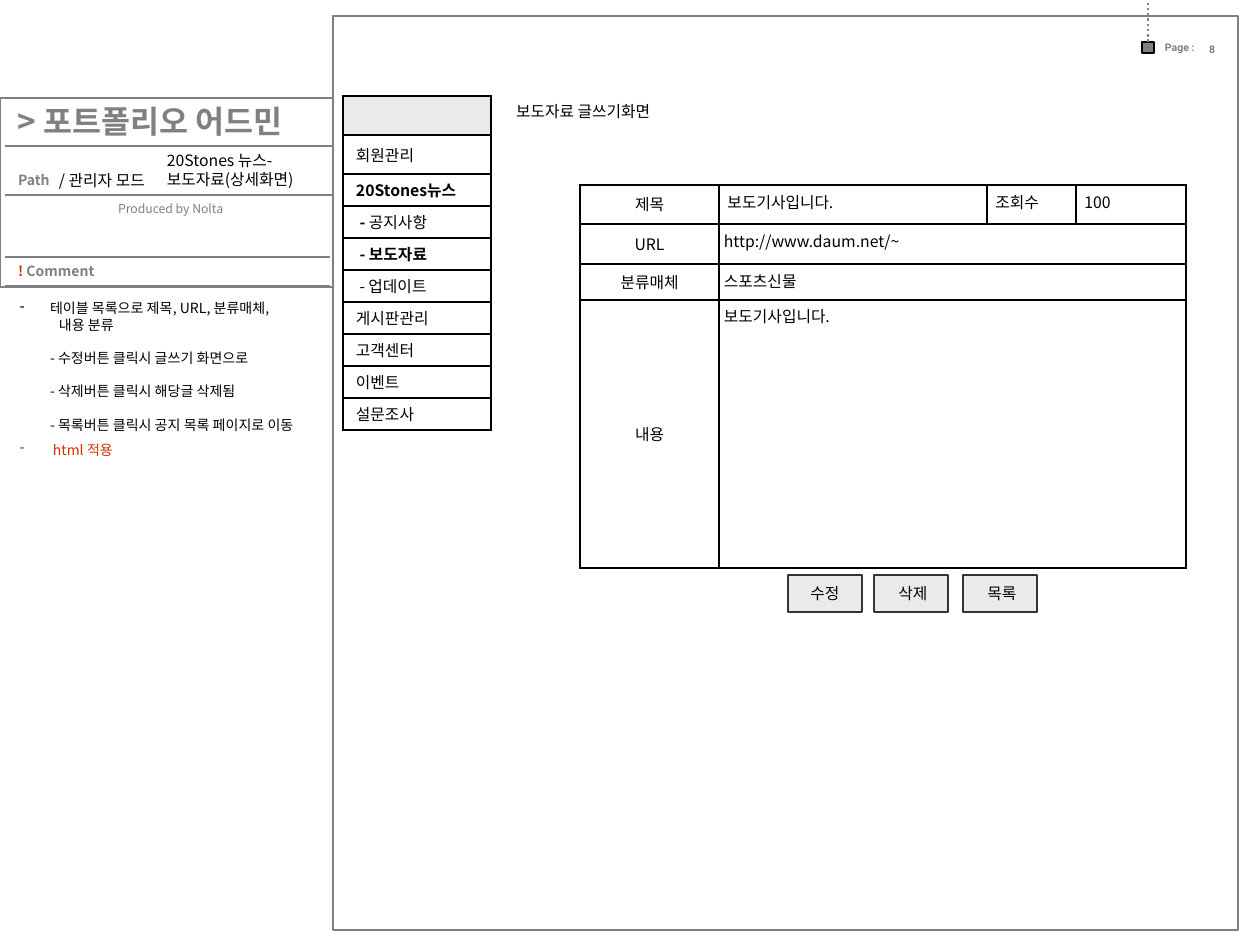
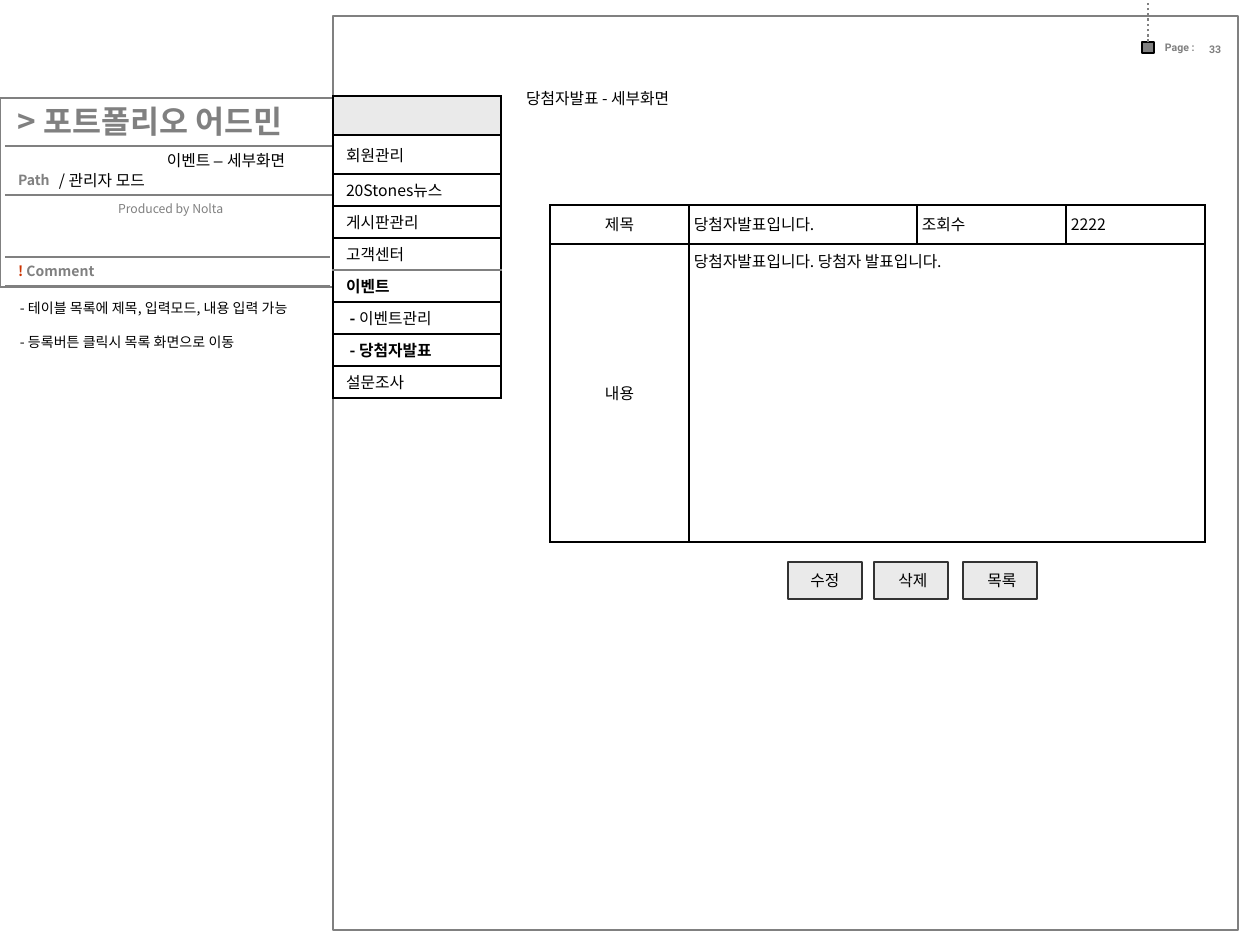
from lxml import etree
from pptx import Presentation
from pptx.dml.color import RGBColor
from pptx.enum.dml import MSO_LINE
from pptx.enum.shapes import MSO_CONNECTOR, MSO_SHAPE
from pptx.enum.text import MSO_ANCHOR, PP_ALIGN
from pptx.oxml.ns import qn
from pptx.util import Emu, Inches, Pt

PX_PER_INCH = 126
LINE_HEIGHT = 1.19
RECT = MSO_SHAPE.RECTANGLE
STRAIGHT = MSO_CONNECTOR.STRAIGHT
DOTTED = MSO_LINE.ROUND_DOT
TOP, MIDDLE = MSO_ANCHOR.TOP, MSO_ANCHOR.MIDDLE
LEFT, CENTER, RIGHT = PP_ALIGN.LEFT, PP_ALIGN.CENTER, PP_ALIGN.RIGHT
KOREAN, LATIN, PAGE_FONT = "Noto Sans CJK KR", "Arial", "Roboto"
COLORS = {"black": "000000", "gray": "808080", "red": "CC3300",
          "panel": "EAEAEA", "button_edge": "333333"}

WIDE, NARROW = (13, 6, 13, 6), (5, 6, 5, 6)
MENU_INSETS, FORM_INSETS = (13, 8, 13, 4), (5, 9, 5, 6)

FRAME = (333, 16, 905, 914)
INFO_BOX = (0, 98, 333, 189)
INFO_RULES = [(146, 333), (195, 333), (257, 330), (286, 330)]
MARKER = (1142, 42, 12, 11)
MENU_TOP, MENU_HEAD, MENU_STEP = 96, 39, 32
BUTTON_SIZE = (74, 37)
BUTTONS = [(788, "수정"), (874, " 삭제"), (963, " 목록")]

SCREENS = [
    {
        "page": "8",
        "path": [[("20Stones 뉴스-", KOREAN)], [("보도자료(상세화면)", KOREAN)]],
        "heading": ("보도자료 글쓰기화면", 511, 96),
        "menu": {
            "left": 343, "width": 148, "gray_after": None,
            "items": [
                [("회원관리", False)],
                [("20Stones뉴스", True)],
                [(" - ", True), ("공지사항", False)],
                [(" - 보도자료", True)],
                [(" - 업데이트", False)],
                [("게시판관리", False)],
                [("고객센터", False)],
                [("이벤트", False)],
                [("설문조사", False)],
            ],
        },
        "form": {
            "left": 580, "top": 185,
            "columns": [139, 268, 89, 110], "heights": [39, 40, 36, 268],
            "first_row_anchor": TOP,
            "rows": [
                ["제목", " 보도기사입니다.", " 조회수", " 100"],
                ["URL", "http://www.daum.net/~"],
                ["분류매체", "스포츠신물"],
                ["내용", "보도기사입니다."],
            ],
        },
        "buttons_top": 575,
        "comment_width": 285,
        "comments": [
            {"text": "테이블 목록으로 제목, URL, 분류매체,", "indent": 30, "bullet": True},
            {"text": "내용 분류", "indent": 39},
            {"text": "- 수정버튼 클릭시 글쓰기 화면으로", "indent": 30, "gap": 9.5},
            {"text": "- 삭제버튼 클릭시 해당글 삭제됨", "indent": 30, "gap": 9.5},
            {"text": "- 목록버튼 클릭시 공지 목록 페이지로 이동", "indent": 30, "gap": 9.5},
            {"text": "html 적용", "indent": 33, "bullet": True, "gap": 4.8, "color": "red"},
        ],
    },
    {
        "page": "33",
        "path": [[("이벤트 ", KOREAN), ("– ", LATIN), ("세부화면", KOREAN)]],
        "heading": ("당첨자발표 - 세부화면", 521, 83),
        "menu": {
            "left": 333, "width": 168, "gray_after": 4,
            "items": [
                [("회원관리", False)],
                [("20Stones뉴스", False)],
                [("게시판관리", False)],
                [("고객센터", False)],
                [("이벤트", True)],
                [(" - ", True), ("이벤트관리", False)],
                [(" - 당첨자발표", True)],
                [("설문조사", False)],
            ],
        },
        "form": {
            "left": 550, "top": 205,
            "columns": [139, 228, 149, 139], "heights": [39, 298],
            "first_row_anchor": MIDDLE,
            "rows": [
                ["제목", "당첨자발표입니다.", "조회수", "2222"],
                ["내용", "당첨자발표입니다. 당첨자 발표입니다."],
            ],
        },
        "buttons_top": 562,
        "comment_width": 318,
        "comments": [
            {"text": "- 테이블 목록에 제목, 입력모드, 내용 입력 가능"},
            {"text": "- 등록버튼 클릭시 목록 화면으로 이동", "gap": 9.5},
        ],
    },
]


def px(value):
    return Emu(round(value * 914400 / PX_PER_INCH))


def rgb(color):
    return RGBColor.from_string(COLORS[color])


def add_run(paragraph, text, size, color="black", bold=False, font=KOREAN):
    run = paragraph.add_run()
    run.text = text
    run.font.size = Pt(size)
    run.font.bold = bold
    run.font.name = font
    run.font.color.rgb = rgb(color)
    etree.SubElement(run.font._element, qn("a:ea"), typeface=font)


def set_line(paragraph, size, align=LEFT):
    paragraph.alignment = align
    paragraph.line_spacing = Pt(round(size * LINE_HEIGHT, 1))


def set_insets(holder, insets):
    (holder.margin_left, holder.margin_top,
     holder.margin_right, holder.margin_bottom) = map(px, insets)


def add_text_box(slide, left, top, width, height, size, lines, insets=WIDE, align=LEFT):
    frame = slide.shapes.add_textbox(px(left), px(top), px(width), px(height)).text_frame
    frame.word_wrap = True
    set_insets(frame, insets)
    for index, runs in enumerate(lines):
        paragraph = frame.add_paragraph() if index else frame.paragraphs[0]
        set_line(paragraph, size, align)
        for text, style in runs:
            add_run(paragraph, text, size, **style)
    return frame


def add_rectangle(slide, box, edge, weight, fill=None):
    rectangle = slide.shapes.add_shape(RECT, *map(px, box))
    rectangle.shadow.inherit = False
    rectangle.line.color.rgb = rgb(edge)
    rectangle.line.width = Pt(weight)
    if fill:
        rectangle.fill.solid()
        rectangle.fill.fore_color.rgb = rgb(fill)
    else:
        rectangle.fill.background()
    return rectangle


def add_rule(slide, start, end, weight):
    rule = slide.shapes.add_connector(STRAIGHT, *map(px, start + end))
    rule.line.color.rgb = rgb("gray")
    rule.line.width = Pt(weight)
    etree.SubElement(rule._element.spPr, qn("a:effectLst"))
    return rule


def add_grid(slide, left, top, columns, heights):
    frame = slide.shapes.add_table(len(heights), len(columns), px(left), px(top),
                                   px(sum(columns)), px(sum(heights)))
    grid = frame.table
    grid.first_row = grid.horz_banding = False
    for column, width in zip(grid.columns, columns):
        column.width = px(width)
    for row, height in zip(grid.rows, heights):
        row.height = px(height)
    return grid


def style_cell(cell, runs, insets, anchor=MIDDLE, align=LEFT, fill=None, gray_edges=()):
    set_insets(cell, insets)
    cell.vertical_anchor = anchor
    if fill:
        cell.fill.solid()
        cell.fill.fore_color.rgb = rgb(fill)
    else:
        cell.fill.background()
    paragraph = cell.text_frame.paragraphs[0]
    set_line(paragraph, 9, align)
    for text, bold in runs:
        add_run(paragraph, text, 9, bold=bold)
    etree.SubElement(paragraph._p, qn("a:endParaRPr"), sz="900")
    properties = cell._tc.get_or_add_tcPr()
    for index, edge in enumerate("LRTB"):
        border = etree.Element(qn("a:ln" + edge), w=str(Pt(1)))
        paint = etree.SubElement(border, qn("a:solidFill"))
        color = COLORS["gray" if edge in gray_edges else "black"]
        etree.SubElement(paint, qn("a:srgbClr"), val=color)
        properties.insert(index, border)


def draw_shared(slide, page):
    gray = {"color": "gray"}
    heavy = {"color": "gray", "bold": True}
    page_style = {**heavy, "font": PAGE_FONT}
    add_text_box(slide, 5, 257, 231, 29, 8,
                 [[("!", {"color": "red", "bold": True}), (" Comment", heavy)]])
    add_text_box(slide, 5, 195, 231, 62, 7, [[("Produced by Nolta", gray)]], align=RIGHT)
    add_text_box(slide, 5, 166, 231, 29, 8, [[("Path", heavy)]])
    add_text_box(slide, 5, 96, 325, 50, 18, [[("> 포트폴리오 어드민", heavy)]])
    for y, right in INFO_RULES:
        add_rule(slide, (5, y), (right, y), 1)
    add_text_box(slide, 1154, 35, 66, 24, 6, [[("Page :", page_style)]], (11, 6, 11, 6))
    add_text_box(slide, 1198, 37, 59, 25, 6, [[(page, page_style)]], (11, 6, 11, 6))
    marker = add_rectangle(slide, MARKER, "black", 0.75, "gray")
    thread = add_rule(slide, (1148, 42), (1148, 1), 1.5)
    thread.line.dash_style = DOTTED
    thread.begin_connect(marker, 0)
    add_rectangle(slide, FRAME, "gray", 1)
    add_rectangle(slide, INFO_BOX, "gray", 0.75)
    add_text_box(slide, 54, 165, 277, 31, 9, [[("/ 관리자 모드", {})]], NARROW)


def draw_menu(slide, menu):
    items, gray_after = menu["items"], menu["gray_after"]
    heights = [MENU_HEAD] * 2 + [MENU_STEP] * (len(items) - 1)
    grid = add_grid(slide, menu["left"], MENU_TOP, [menu["width"]], heights)
    style_cell(grid.cell(0, 0), [], MENU_INSETS, fill="panel")
    for row, runs in enumerate(items, 1):
        gray_edges = ""
        if gray_after:
            gray_edges = {gray_after: "B", gray_after + 1: "T"}.get(row, "")
        style_cell(grid.cell(row, 0), runs, MENU_INSETS, gray_edges=gray_edges)


def draw_form(slide, form):
    columns = form["columns"]
    grid = add_grid(slide, form["left"], form["top"], columns, form["heights"])
    for row, texts in enumerate(form["rows"]):
        if len(texts) < len(columns):
            grid.cell(row, 1).merge(grid.cell(row, len(columns) - 1))
        value_anchor = TOP if row else form["first_row_anchor"]
        for column in range(len(columns)):
            runs = [(texts[column], False)] if column < len(texts) else []
            anchor, align = (value_anchor, LEFT) if column else (MIDDLE, CENTER)
            style_cell(grid.cell(row, column), runs, FORM_INSETS, anchor, align)


def draw_buttons(slide, top):
    for left, label in BUTTONS:
        button = add_rectangle(slide, (left, top, *BUTTON_SIZE), "button_edge", 0.75, "panel")
        frame = button.text_frame
        frame.word_wrap = False
        frame.vertical_anchor = MIDDLE
        set_line(frame.paragraphs[0], 9, CENTER)
        add_run(frame.paragraphs[0], label, 9)


def draw_comments(slide, comments, width):
    lines = [[(note["text"], {"color": note.get("color", "black")})] for note in comments]
    frame = add_text_box(slide, 15, 294, width, 173, 8, lines, NARROW)
    for paragraph, note in zip(frame.paragraphs, comments):
        if "gap" in note:
            paragraph.space_before = Pt(note["gap"])
        properties = paragraph._p.get_or_add_pPr()
        indent = px(note.get("indent", 0))
        properties.set("marL", str(indent))
        if note.get("bullet"):
            properties.set("indent", str(-indent))
            etree.SubElement(properties, qn("a:buChar"), char="-")


def main():
    deck = Presentation()
    deck.slide_width, deck.slide_height = Inches(10), Inches(7.5)
    for screen in SCREENS:
        slide = deck.slides.add_slide(deck.slide_layouts[6])
        draw_shared(slide, screen["page"])
        draw_menu(slide, screen["menu"])
        heading, left, top = screen["heading"]
        add_text_box(slide, left, top, 173, 31, 9, [[(heading, {})]], NARROW)
        path_lines = [[(text, {"font": font}) for text, font in line] for line in screen["path"]]
        add_text_box(slide, 154, 145, 178, 50, 9, path_lines)
        draw_form(slide, screen["form"])
        draw_buttons(slide, screen["buttons_top"])
        draw_comments(slide, screen["comments"], screen["comment_width"])
    deck.save("out.pptx")


if __name__ == "__main__":
    main()
